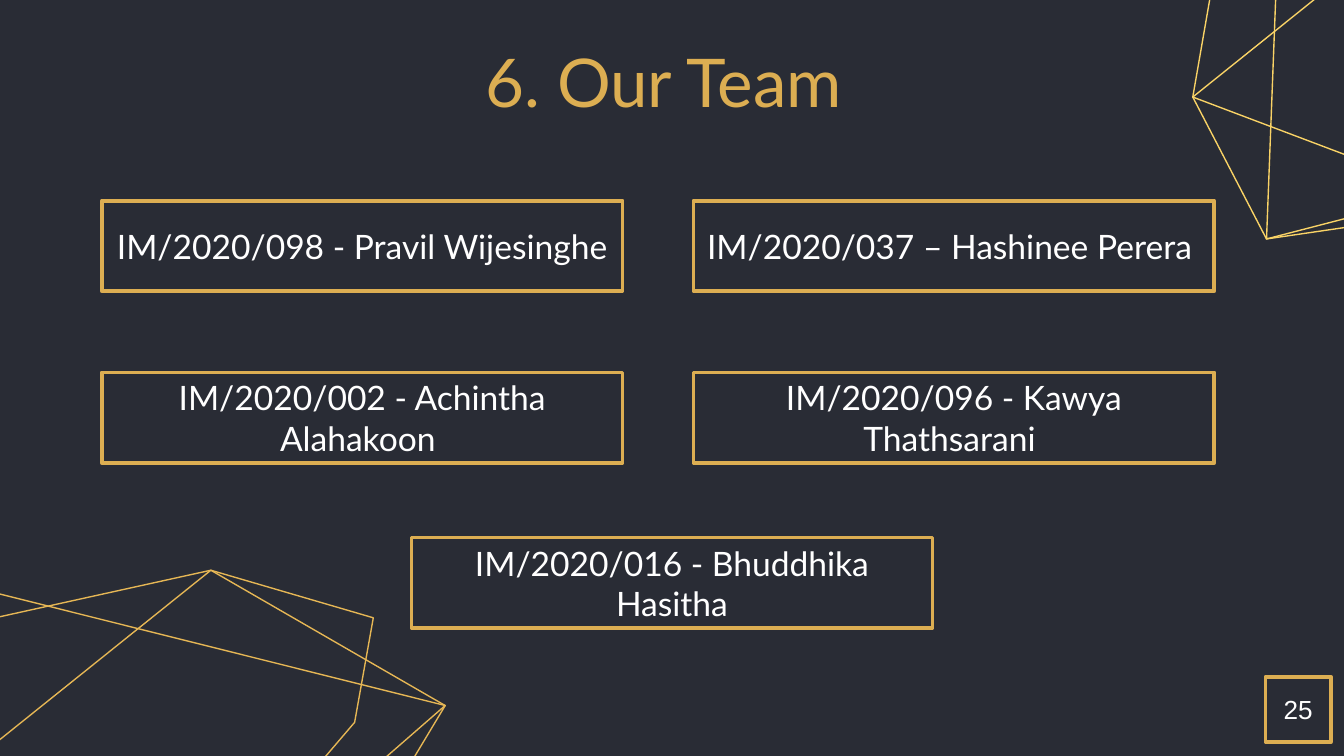
from pptx import Presentation
from pptx.dml.color import RGBColor
from pptx.enum import shapes, text
from pptx.util import Pt

GOLD, DARK, WHITE = "DCAE52", "292C35", "FFFFFF"


def rgb(code):
    return RGBColor.from_string(code)


def add_frame(s, x, y, w, h, label, font, size):
    """Add a gold-edged box with centred white text."""
    sp = s.shapes.add_shape(shapes.MSO_SHAPE.RECTANGLE, Pt(x), Pt(y), Pt(w), Pt(h))
    sp.shadow.inherit = False
    sp.fill.background()
    sp.line.color.rgb = rgb(GOLD)
    sp.line.width = Pt(2)
    tf = sp.text_frame
    tf.word_wrap = True
    tf.vertical_anchor = text.MSO_ANCHOR.MIDDLE
    p = tf.paragraphs[0]
    p.text = label
    p.alignment = text.PP_ALIGN.CENTER
    p.font.name = font
    p.font.size = Pt(size)
    p.font.color.rgb = rgb(WHITE)
    return sp


prs = Presentation()
prs.slide_width, prs.slide_height = Pt(720), Pt(405)
s = prs.slides.add_slide(prs.slide_layouts[5])
s.background.fill.solid()
s.background.fill.fore_color.rgb = rgb(DARK)

# The same three polygons decorate two opposite corners
polygons = [
    [(-77, 458), (-57, 343), (113, 305.5), (200, 331), (190, 387), (79, 517)],
    [(-37.5, 534), (-77, 458), (113, 305.5), (238.5, 378), (79, 517)],
    [(-37.5, 534), (-29, 311), (238.5, 378), (178.5, 478)],
]
for dx, dy, color in [(0, 0, "E6B755"), (716, -406, "F9D366")]:
    for polygon in polygons:
        points = [(Pt(x + dx), Pt(y + dy)) for x, y in polygon]
        builder = s.shapes.build_freeform(*points[0])
        builder.add_line_segments(points[1:], close=True)
        sp = builder.convert_to_shape()
        sp.shadow.inherit = False
        sp.fill.background()
        sp.line.color.rgb = rgb(color)
        sp.line.width = Pt(0.75)

title = s.shapes.title
title.left, title.top, title.width, title.height = Pt(0), Pt(19), Pt(720), Pt(48)
tf = title.text_frame
tf.margin_left = tf.margin_right = tf.margin_top = tf.margin_bottom = Pt(7.2)
tf.vertical_anchor = text.MSO_ANCHOR.MIDDLE
p = tf.paragraphs[0]
p.text = "6. Our Team "
p.alignment = text.PP_ALIGN.CENTER
p.font.name = "Lato"
p.font.size = Pt(36)
p.font.color.rgb = rgb(GOLD)

left, right, middle = 54.5, 371.5, 220.5
members = [
    (left, 107.5, "IM/2020/098 - Pravil Wijesinghe"),
    (right, 107.5, "IM/2020/037 – Hashinee Perera "),
    (left, 199.5, "IM/2020/002 - Achintha Alahakoon "),
    (right, 199.5, "IM/2020/096 - Kawya Thathsarani "),
    (middle, 288, "IM/2020/016 - Bhuddhika Hasitha"),
]
for x, y, member in members:
    add_frame(s, x, y, 279, 48.5, member, "Lato", 18)

page = add_frame(s, 678, 362.5, 35, 35, "25", "Arial", 14)
page.fill.solid()
page.fill.fore_color.rgb = rgb(DARK)

prs.save("out.pptx")
